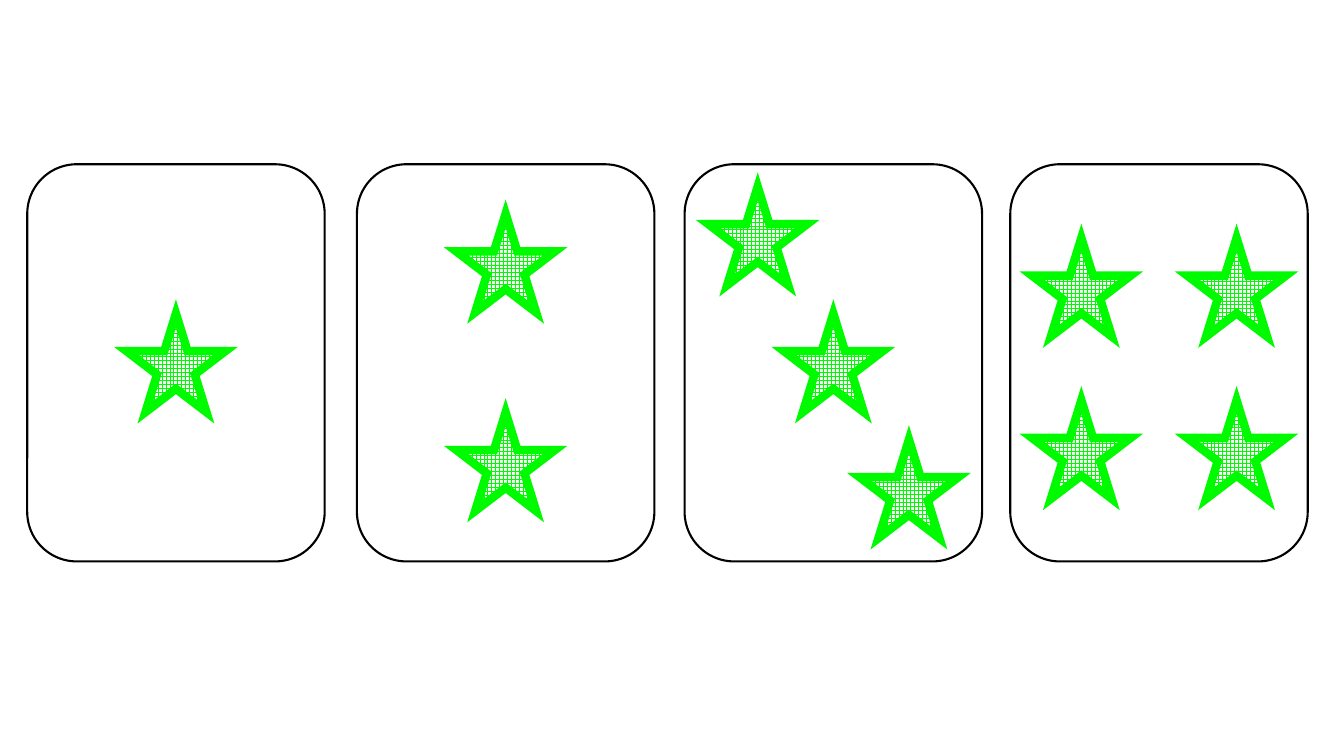
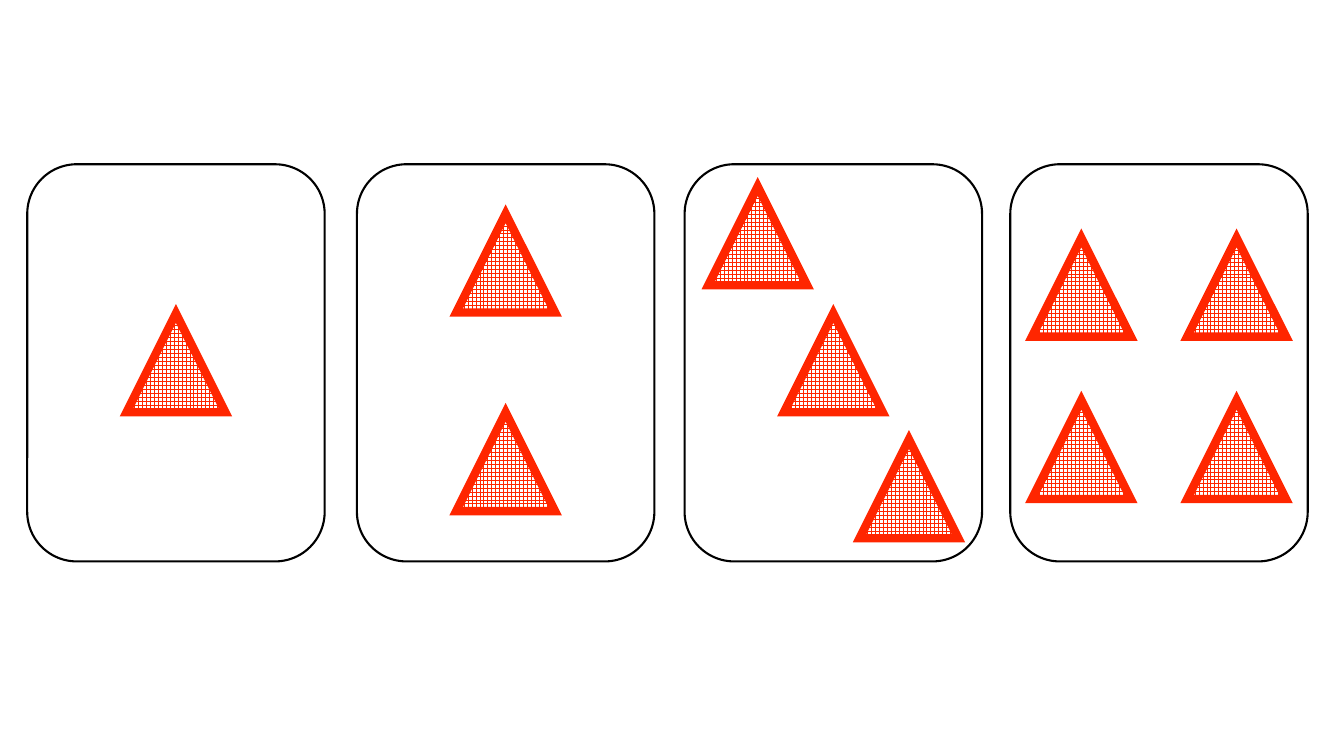
from lxml.etree import SubElement
from pptx import Presentation
from pptx.dml.color import RGBColor
from pptx.enum.dml import MSO_PATTERN
from pptx.enum.shapes import MSO_SHAPE
from pptx.oxml.ns import qn
from pptx.util import Inches, Pt

WHITE = RGBColor(0xFF, 0xFF, 0xFF)
BLACK = RGBColor(0x00, 0x00, 0x00)
GREEN = RGBColor(0x00, 0xFA, 0x00)
RED = RGBColor(0xFF, 0x26, 0x00)

# Card geometry, in inches
CARD_LEFTS = (0.27, 3.54, 6.79, 10.02)
CARD_TOP, CARD_WIDTH, CARD_HEIGHT = 1.63, 2.95, 3.94
SYMBOL_SIZE = 0.98

# Symbol centres on each card, measured from the card's centre
CARD_LAYOUTS = (
    [(0, 0)],
    [(0, -0.99), (0, 0.98)],
    [(-0.75, -1.26), (0, 0), (0.75, 1.25)],
    [(x, y) for y in (-0.75, 0.86) for x in (-0.77, 0.77)],
)

# One slide for each symbol
SYMBOLS = (
    (MSO_SHAPE.STAR_5_POINT, GREEN),
    (MSO_SHAPE.ISOSCELES_TRIANGLE, RED),
)


def add_outlined_shape(slide, kind, left, top, width, height, color, weight):
    shape = slide.shapes.add_shape(
        kind, Inches(left), Inches(top), Inches(width), Inches(height))
    shape.shadow.inherit = False
    shape.line.color.rgb = color
    shape.line.width = Pt(weight)
    # Sharp corners on the outline
    outline = shape.element.spPr.find(qn("a:ln"))
    SubElement(outline, qn("a:miter"), lim="800000")
    return shape


def add_symbol(slide, kind, color, center_x, center_y):
    symbol = add_outlined_shape(
        slide, kind, center_x - SYMBOL_SIZE / 2, center_y - SYMBOL_SIZE / 2,
        SYMBOL_SIZE, SYMBOL_SIZE, color, 6)
    symbol.fill.patterned()
    symbol.fill.pattern = MSO_PATTERN.LARGE_GRID
    symbol.fill.fore_color.rgb = color
    symbol.fill.back_color.rgb = WHITE


def add_card(slide, left, top, kind, color, offsets):
    card = add_outlined_shape(
        slide, MSO_SHAPE.ROUNDED_RECTANGLE, left, top,
        CARD_WIDTH, CARD_HEIGHT, BLACK, 1.5)
    card.fill.solid()
    card.fill.fore_color.rgb = WHITE
    for x, y in offsets:
        add_symbol(slide, kind, color,
                   left + CARD_WIDTH / 2 + x, top + CARD_HEIGHT / 2 + y)


def add_card_slide(presentation, kind, color):
    slide = presentation.slides.add_slide(presentation.slide_layouts[6])
    for left, offsets in zip(CARD_LEFTS, CARD_LAYOUTS):
        add_card(slide, left, CARD_TOP, kind, color, offsets)


def main():
    presentation = Presentation()
    presentation.slide_width = Inches(13.33)
    presentation.slide_height = Inches(7.5)
    for kind, color in SYMBOLS:
        add_card_slide(presentation, kind, color)
    presentation.save("out.pptx")


if __name__ == "__main__":
    main()
